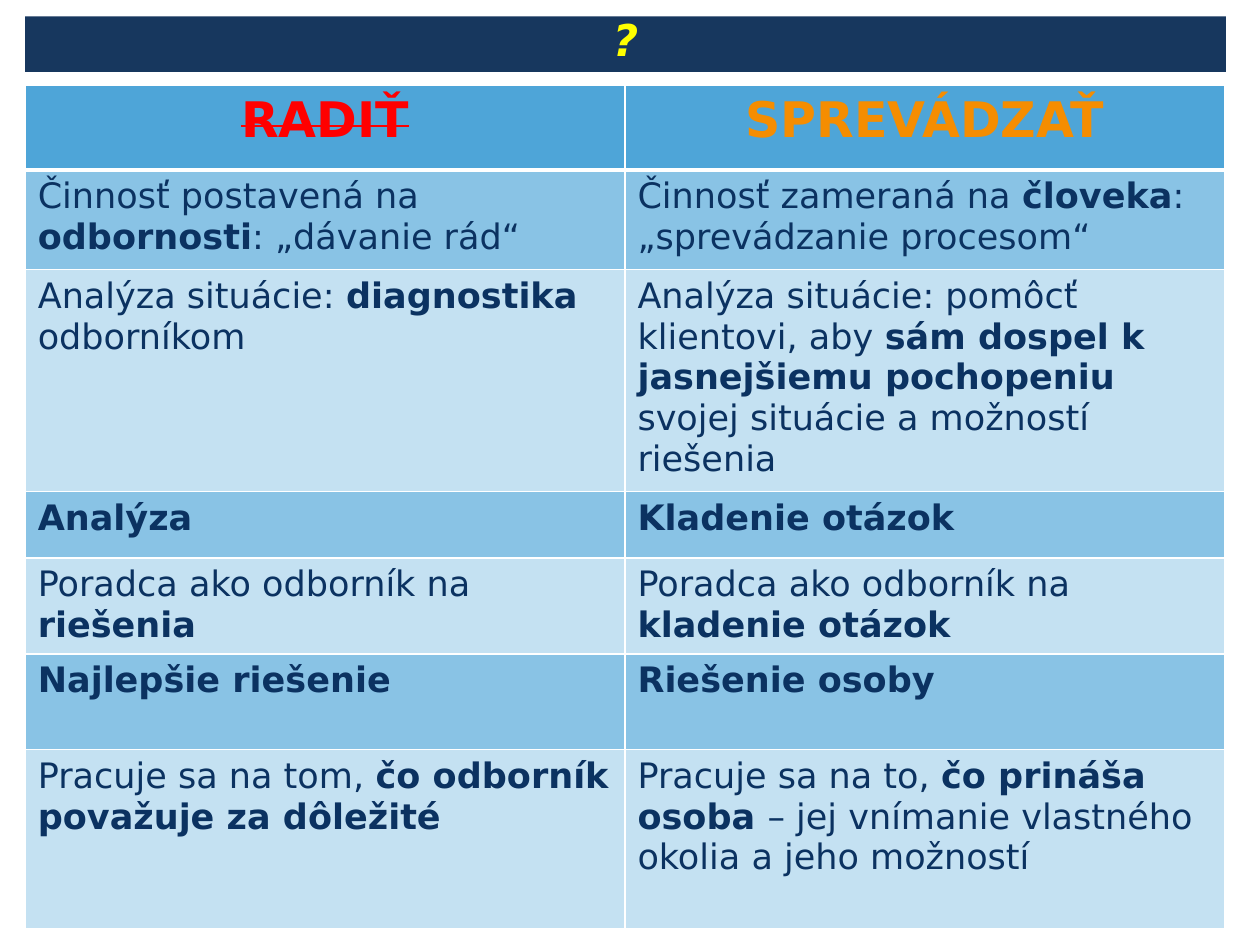
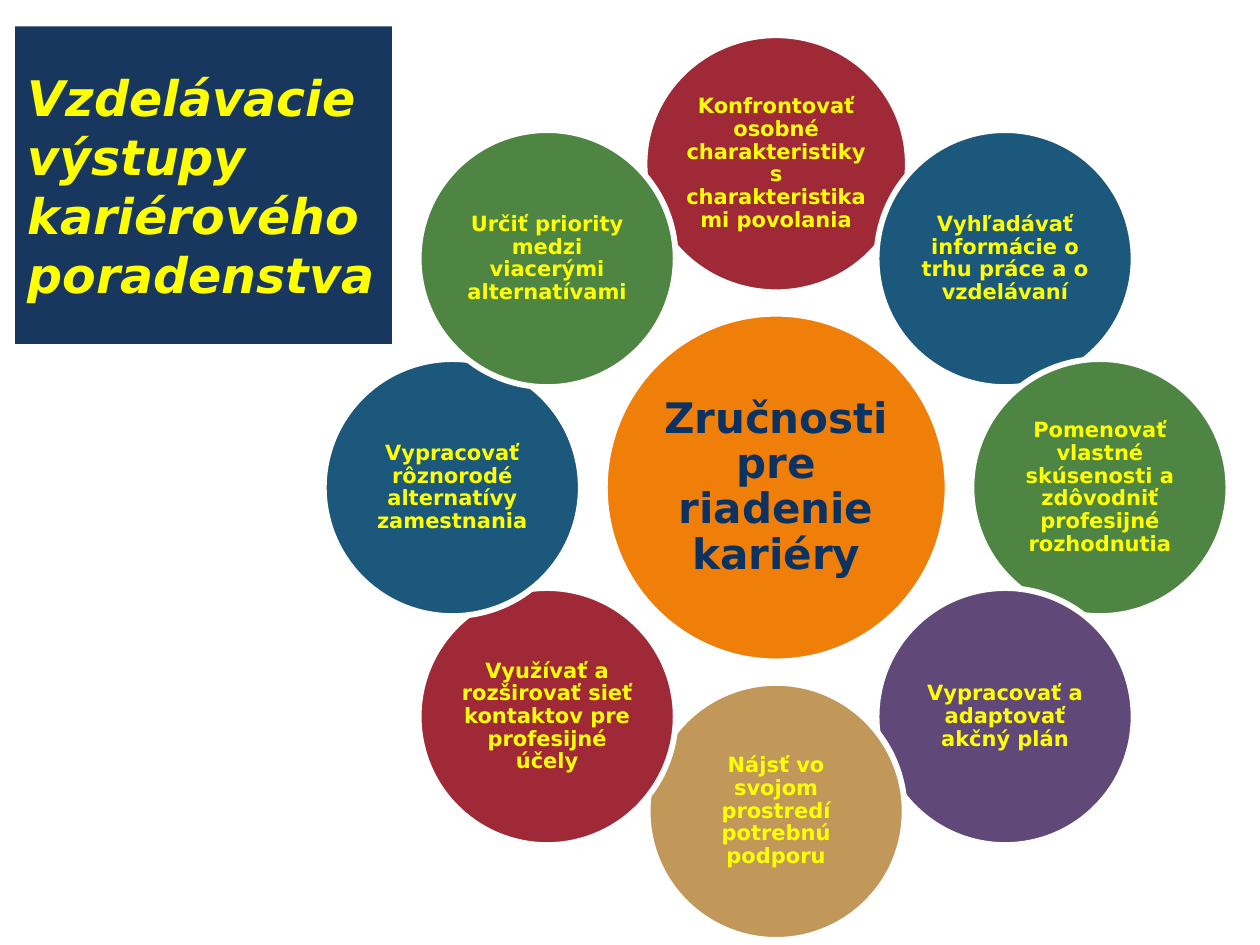
import math

from lxml import etree
from pptx import Presentation
from pptx.dml.color import RGBColor
from pptx.enum.shapes import MSO_SHAPE
from pptx.enum.text import MSO_ANCHOR, MSO_AUTO_SIZE, PP_ALIGN
from pptx.oxml.ns import qn
from pptx.util import Inches, Pt

OVAL = MSO_SHAPE.OVAL
MIDDLE = MSO_ANCHOR.MIDDLE
NO_FIT = MSO_AUTO_SIZE.NONE
CENTER, LEFT = PP_ALIGN.CENTER, PP_ALIGN.LEFT
TITLE_ONLY = 5

FONT = "DejaVu Sans"
COLORS = {
    "navy": "17375E", "yellow": "FFFF00", "text": "0B3261", "white": "FFFFFF",
    "header": "4EA5D8", "band_dark": "89C3E5", "band_light": "C4E1F2",
    "bright_red": "FF0000", "amber": "F58D01", "orange": "F07F09",
    "red": "9F2936", "blue": "1B587C", "green": "4E8542",
    "purple": "604878", "sand": "C19859",
}

HEADERS = [("RADIŤ", "bright_red", True), ("SPREVÁDZAŤ", "amber", False)]
COMPARISON = [
    ("Činnosť postavená na **odbornosti**: „dávanie rád“",
     "Činnosť zameraná na **človeka**: „sprevádzanie procesom“"),
    ("Analýza situácie: **diagnostika** odborníkom",
     "Analýza situácie: pomôcť klientovi, aby **sám dospel k jasnejšiemu "
     "pochopeniu **svojej situácie a možností riešenia"),
    ("**Analýza**", "**Kladenie otázok**"),
    ("Poradca ako odborník na **riešenia**",
     "Poradca ako odborník na **kladenie otázok**"),
    ("**Najlepšie riešenie**", "**Riešenie osoby**"),
    ("Pracuje sa na tom, **čo odborník považuje za dôležité**",
     "Pracuje sa na to, **čo prináša osoba **– jej vnímanie vlastného "
     "okolia a jeho možností"),
]
ROW_HEIGHTS = [0.67, 0.79, 1.76, 0.53, 0.76, 0.76, 1.42]

SKILLS = [
    ("Konfrontovať osobné charakteristiky s charakteristikami povolania", "red", 2.09),
    ("Vyhľadávať informácie o trhu práce a o vzdelávaní", "blue", 2.04),
    ("Pomenovať vlastné skúsenosti a zdôvodniť profesijné rozhodnutia", "green", 2.04),
    ("Vypracovať a adaptovať akčný plán", "purple", 2.04),
    ("Nájsť vo svojom prostredí potrebnú podporu", "sand", 2.04),
    ("Využívať a rozširovať sieť kontaktov pre profesijné účely", "red", 2.04),
    ("Vypracovať rôznorodé alternatívy zamestnania", "blue", 2.04),
    ("Určiť priority medzi viacerými alternatívami", "green", 2.04),
]


class Deck:
    def __init__(self):
        self.prs = Presentation()
        self.prs.slide_width, self.prs.slide_height = Inches(10), Inches(7.5)
        self.s = None

    def color(self, name):
        return RGBColor.from_string(COLORS[name])

    def paint(self, target, name):
        target.fill.solid()
        target.fill.fore_color.rgb = self.color(name)

    def style(self, r, size, color, bold=True, italic=False):
        r.font.name, r.font.size = FONT, Pt(size)
        r.font.bold, r.font.italic = bold, italic
        r.font.color.rgb = self.color(color)

    def put_text(self, tf, text, size, color, align, spacing=1.0, italic=False):
        tf.text = text
        tf.word_wrap = True
        tf.vertical_anchor = MIDDLE
        p = tf.paragraphs[0]
        p.alignment, p.line_spacing = align, spacing
        self.style(p.runs[0], size, color, italic=italic)

    def slide(self, title, box, size, align, spacing=1.0):
        self.s = self.prs.slides.add_slide(self.prs.slide_layouts[TITLE_ONLY])
        sp = self.s.shapes.title
        sp.left, sp.top, sp.width, sp.height = map(Inches, box)
        self.paint(sp, "navy")
        self.put_text(sp.text_frame, title, size, "yellow", align, spacing, True)
        sp.text_frame.auto_size = NO_FIT

    def circle(self, text, fill, center, width, height, size, color, inset):
        x, y = center
        sp = self.s.shapes.add_shape(
            OVAL, Inches(x - width / 2), Inches(y - height / 2),
            Inches(width), Inches(height))
        sp.shadow.inherit = False
        self.paint(sp, fill)
        sp.line.color.rgb = self.color("white")
        sp.line.width = Pt(3.35)
        tf = sp.text_frame
        tf.margin_left = tf.margin_right = Inches(inset)
        tf.margin_top = tf.margin_bottom = Inches(inset)
        self.put_text(tf, text, size, color, CENTER, 0.9)

    def borders(self, cell, top, bottom):
        tc_pr = cell._tc.get_or_add_tcPr()
        for side, width in (("L", 1), ("R", 1), ("T", top), ("B", bottom)):
            ln = etree.SubElement(tc_pr, qn(f"a:ln{side}"), w=str(Pt(width)))
            fill = etree.SubElement(ln, qn("a:solidFill"))
            etree.SubElement(fill, qn("a:srgbClr"), val=COLORS["white"])

    def table(self, left, top, col_width, heights, headers, rows):
        cols = len(headers)
        table = self.s.shapes.add_table(
            len(heights), cols, Inches(left), Inches(top),
            Inches(col_width * cols), Inches(sum(heights))).table
        for col in table.columns:
            col.width = Inches(col_width)
        for i, height in enumerate(heights):
            table.rows[i].height = Inches(height)
            band = "header" if i == 0 else "band_dark" if i % 2 else "band_light"
            for j in range(cols):
                cell = table.cell(i, j)
                self.borders(cell, 3 if i == 1 else 1, 3 if i == 0 else 1)
                self.paint(cell, band)
                p = cell.text_frame.paragraphs[0]
                if i == 0:
                    self.header(p, *headers[j])
                else:
                    self.rich_text(p, rows[i - 1][j])

    def header(self, p, text, color, struck):
        p.text = text
        p.alignment = CENTER
        r = p.runs[0]
        self.style(r, 28, color)
        if struck:
            r._r.get_or_add_rPr().set("strike", "sngStrike")

    def rich_text(self, p, text):
        for k, part in enumerate(text.split("**")):
            if part:
                r = p.add_run()
                r.text = part
                self.style(r, 20, "text", bold=k % 2 == 1)


def main():
    deck = Deck()

    deck.slide("?", (0.2, 0.13, 9.53, 0.44), 25, CENTER, 0.8)
    deck.table(0.2, 0.68, 4.76, ROW_HEIGHTS, HEADERS, COMPARISON)

    deck.slide("Vzdelávacie výstupy kariérového poradenstva",
               (0.12, 0.21, 2.99, 2.52), 28, LEFT)
    cx, cy, radius = 6.16, 3.87, 2.57
    deck.circle("Zručnosti pre riadenie kariéry", "orange", (cx, cy),
                2.72, 2.76, 24, "text", 0.03)
    for i, (skill, fill, width) in enumerate(SKILLS):
        angle = 2 * math.pi * i / len(SKILLS)
        center = (cx + radius * math.sin(angle), cy - radius * math.cos(angle))
        deck.circle(skill, fill, center, width, 2.04, 12, "yellow", 0.02)

    deck.prs.save("out.pptx")


if __name__ == "__main__":
    main()
